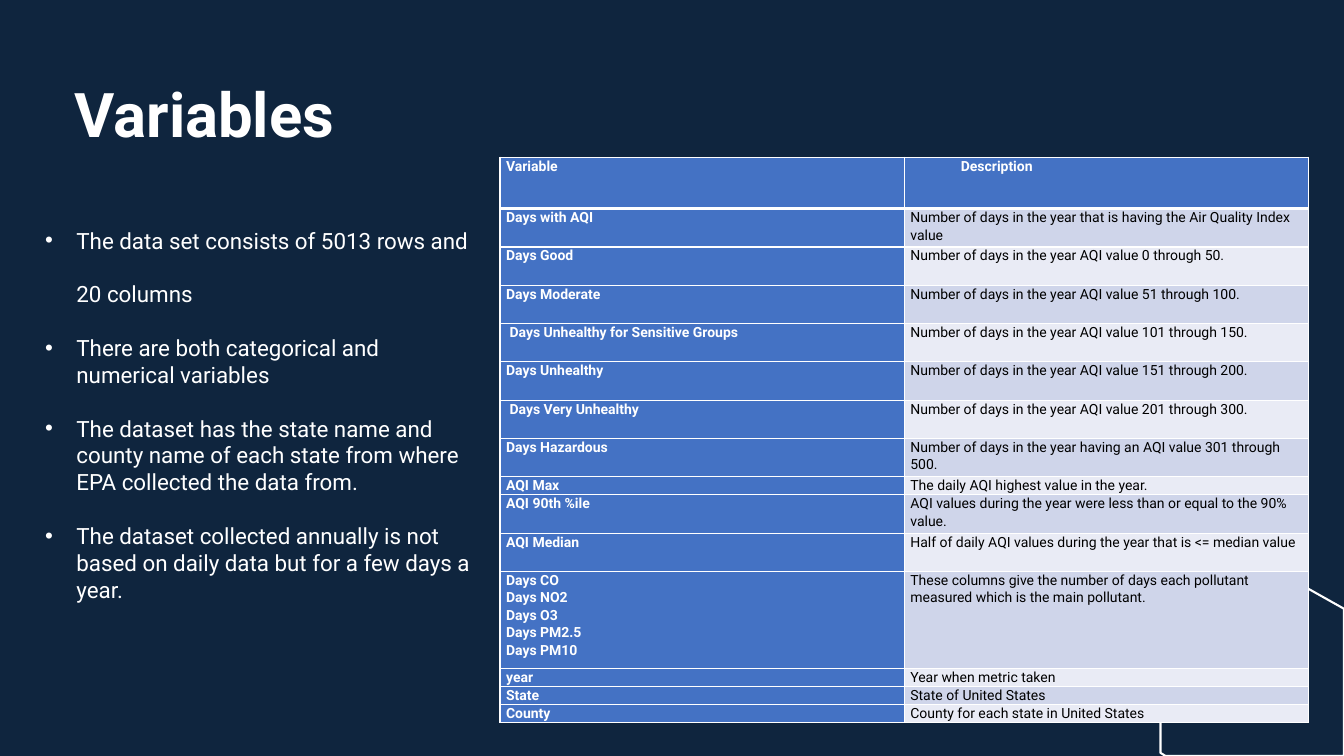
from copy import deepcopy

from lxml.etree import SubElement
from pptx import Presentation
from pptx.dml.color import RGBColor
from pptx.enum.text import MSO_ANCHOR, PP_ALIGN
from pptx.oxml.ns import qn
from pptx.util import Inches, Pt

COLORS = {
    "navy": "0F253E", "white": "FFFFFF", "black": "000000",
    "blue": "4472C4", "band": "CFD5EA", "pale": "E9EBF5",
}
FONT = "Roboto"
TITLE = "Variables"

# "\v" is a line break inside a paragraph, "\n" starts a new paragraph
BULLETS = [
    "The data set consists of 5013 rows and \v20 columns",
    "There are both categorical and numerical variables",
    "The dataset has the state name and \vcounty name of each state from where EPA collected the data from.",
    "The dataset collected annually is not based on daily data but for a few days a year.",
]

# variable, description, row height
VARIABLES = [
    ("Variable", "\tDescription", 0.51),
    ("Days with AQI", "Number of days in the year that is having the Air Quality Index value", 0.38),
    ("Days Good", "Number of days in the year AQI value 0 through 50.", 0.38),
    ("Days Moderate", "Number of days in the year AQI value 51 through 100.", 0.38),
    (" Days Unhealthy for Sensitive Groups", "Number of days in the year AQI value 101 through 150.", 0.38),
    ("Days Unhealthy", "Number of days in the year AQI value 151 through 200.", 0.38),
    (" Days Very Unhealthy", "Number of days in the year AQI value 201 through 300.", 0.38),
    ("Days Hazardous", "Number of days in the year having an AQI value 301 through 500.", 0.38),
    ("AQI Max", "The daily AQI highest value in the year.", 0.18),
    ("AQI 90th %ile", "AQI values during the year were less than or equal to the 90% value.", 0.38),
    ("AQI Median", "Half of daily AQI values during the year that is <= median value", 0.38),
    ("Days CO\vDays NO2\vDays O3\vDays PM2.5\nDays PM10",
     "These columns give the number of days each pollutant measured which is the main pollutant.", 0.96),
    ("year", "Year when metric taken", 0.18),
    ("State", "State of United States", 0.18),
    ("County", "County for each state in United States", 0.18),
]
TABLE_LEFT, TABLE_TOP, COLUMN_WIDTH = 4.96, 1.56, 4.01
HEXAGON = [(12.6, 5.63), (13.33, 6.04), (13.33, 7.5), (11.56, 7.5), (11.51, 7.47), (11.51, 6.25)]


def rgb(name):
    return RGBColor.from_string(COLORS[name])


def write(frame, text, size, color="white", bold=False, line=1.0, after=0, bullet=False):
    frame.word_wrap = True
    frame.text = text
    for paragraph in frame.paragraphs:
        paragraph.alignment = PP_ALIGN.LEFT
        paragraph.line_spacing = line
        paragraph.space_before = Pt(0)
        paragraph.space_after = Pt(after)
        for run in paragraph.runs:
            run.font.name = FONT
            run.font.size = Pt(size)
            run.font.bold = bold
            run.font.color.rgb = rgb(color)
        for line_break in paragraph._p.findall(qn("a:br")):
            line_break.append(deepcopy(paragraph.runs[0]._r.rPr))
        if bullet:
            props = paragraph._p.get_or_add_pPr()
            props.set("marL", str(Inches(0.31)))
            props.set("indent", str(-Inches(0.31)))
            SubElement(props, qn("a:buFont"), typeface="Arial")
            SubElement(props, qn("a:buChar"), char="•")


def add_borders(cell, widths):
    """Draw white cell borders; widths maps lnL, lnR, lnT and lnB to points."""
    props = cell._tc.get_or_add_tcPr()
    for side, width in widths.items():
        border = SubElement(props, qn(f"a:{side}"), w=str(Pt(width)))
        SubElement(SubElement(border, qn("a:solidFill")), qn("a:srgbClr"), val=COLORS["white"])


def add_hexagon(slide):
    builder = slide.shapes.build_freeform(*map(Inches, HEXAGON[0]), scale=1.0)
    builder.add_line_segments([(Inches(x), Inches(y)) for x, y in HEXAGON[1:]], close=True)
    hexagon = builder.convert_to_shape()
    hexagon.shadow.inherit = False
    hexagon.fill.background()
    hexagon.line.color.rgb = rgb("white")
    hexagon.line.width = Pt(1.5)


def add_title(slide):
    title = slide.shapes.title
    title.left, title.top, title.width, title.height = map(Inches, (0.64, 0.79, 11.91, 1.55))
    title.text_frame.vertical_anchor = MSO_ANCHOR.TOP
    write(title.text_frame, TITLE, 44, bold=True, line=0.9)


def add_variables(slide):
    heights = [height for *_, height in VARIABLES]
    table = slide.shapes.add_table(
        len(VARIABLES), 2, Inches(TABLE_LEFT), Inches(TABLE_TOP),
        Inches(2 * COLUMN_WIDTH), Inches(sum(heights))).table
    for row, (variable, description, height) in enumerate(VARIABLES):
        table.rows[row].height = Inches(height)
        for column, text in enumerate((variable, description)):
            cell = table.cell(row, column)
            heading = row == 0 or column == 0
            cell.margin_left = cell.margin_right = Inches(0.06)
            cell.margin_top = cell.margin_bottom = 0
            write(cell.text_frame, text, 10, color="white" if heading else "black",
                  bold=heading, line=1.07)
            add_borders(cell, {"lnL": 1, "lnR": 1, "lnT": 3 if row == 1 else 1,
                               "lnB": 3 if row == 0 else 1})
            cell.fill.solid()
            cell.fill.fore_color.rgb = rgb("blue" if heading else "band" if row % 2 else "pale")


def main():
    deck = Presentation()
    deck.slide_width, deck.slide_height = Inches(13.33), Inches(7.5)
    slide = deck.slides.add_slide(deck.slide_layouts[5])
    slide.background.fill.solid()
    slide.background.fill.fore_color.rgb = rgb("navy")
    add_hexagon(slide)
    add_title(slide)
    add_variables(slide)
    facts = slide.shapes.add_textbox(Inches(0.35), Inches(2.2), Inches(4.43), Inches(3.9))
    write(facts.text_frame, "\n".join(BULLETS), 16, after=19.2, bullet=True)
    deck.save("out.pptx")


if __name__ == "__main__":
    main()
